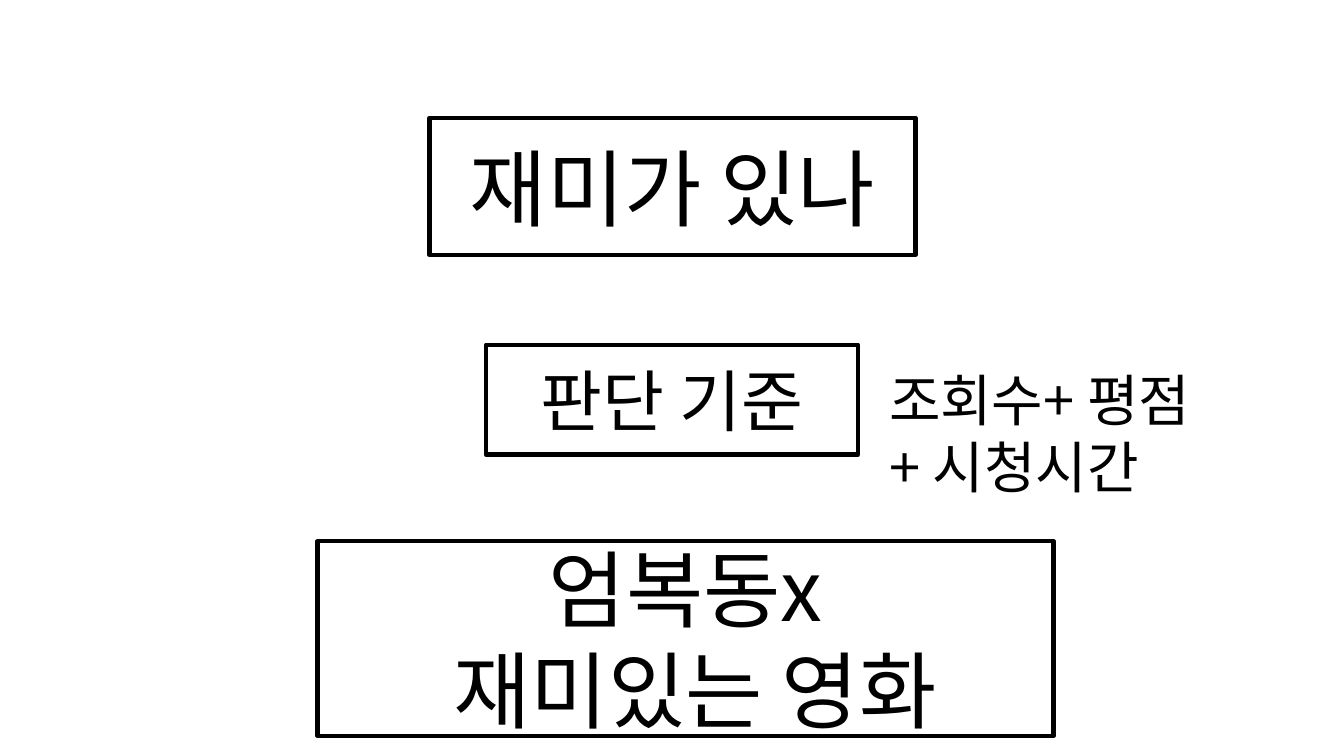
from dataclasses import dataclass

from lxml.etree import SubElement
from pptx import Presentation
from pptx.dml.color import RGBColor
from pptx.enum.shapes import MSO_SHAPE
from pptx.enum.text import MSO_ANCHOR, MSO_AUTO_SIZE, PP_ALIGN
from pptx.oxml.ns import qn
from pptx.shapes.autoshape import Shape
from pptx.slide import Slide
from pptx.util import Inches, Pt


@dataclass(frozen=True)
class Theme:
    font: str = "Noto Sans CJK KR"
    ink: RGBColor = RGBColor(0, 0, 0)
    paper: RGBColor = RGBColor(255, 255, 255)
    border: int = Pt(3)
    large: int = Pt(60)
    medium: int = Pt(48)
    small: int = Pt(40)


@dataclass(frozen=True)
class Box:
    lines: tuple[str, ...]
    left: float
    top: float
    width: float
    height: float
    size: int

    @property
    def bounds(self) -> tuple[int, ...]:
        return tuple(Inches(v) for v in (self.left, self.top, self.width, self.height))


THEME = Theme()
QUESTION = Box(("재미가 있나",), 4.26, 1.17, 4.82, 1.36, THEME.large)
CRITERION = Box(("판단 기준",), 4.82, 3.42, 3.69, 1.09, THEME.medium)
CONCLUSION = Box(("엄복동x", " 재미있는 영화"), 3.15, 5.37, 7.3, 1.93, THEME.large)
MEASURES = Box(("조회수+ 평점", "+ 시청시간"), 8.72, 3.58, 3.53, 1.45, THEME.small)


def write_lines(sp: Shape, box: Box, align: PP_ALIGN) -> None:
    tf = sp.text_frame
    for i, line in enumerate(box.lines):
        p = tf.add_paragraph() if i else tf.paragraphs[0]
        p.alignment = align
        r = p.add_run()
        r.text = line
        for name, value in {"name": THEME.font, "size": box.size}.items():
            setattr(r.font, name, value)
        r.font.color.rgb = THEME.ink
        SubElement(r.font._element, qn("a:ea"), typeface=THEME.font)


def frame(sp: Shape, box: Box) -> None:
    """Give a shape its place, black border and centred text."""
    sp.left, sp.top, sp.width, sp.height = box.bounds
    sp.fill.solid()
    sp.fill.fore_color.rgb = THEME.paper
    sp.line.color.rgb = THEME.ink
    sp.line.width = THEME.border
    text_format = {
        "word_wrap": True,
        "auto_size": MSO_AUTO_SIZE.NONE,
        "vertical_anchor": MSO_ANCHOR.MIDDLE,
    }
    for name, value in text_format.items():
        setattr(sp.text_frame, name, value)
    write_lines(sp, box, PP_ALIGN.CENTER)


def add_framed_box(s: Slide, box: Box) -> None:
    sp = s.shapes.add_shape(MSO_SHAPE.RECTANGLE, *box.bounds)
    sp.shadow.inherit = False
    frame(sp, box)


def add_label(s: Slide, box: Box) -> None:
    sp = s.shapes.add_textbox(*box.bounds)
    sp.text_frame.word_wrap = False
    sp.text_frame.auto_size = MSO_AUTO_SIZE.SHAPE_TO_FIT_TEXT
    write_lines(sp, box, PP_ALIGN.LEFT)


def main() -> None:
    prs = Presentation()
    prs.slide_width, prs.slide_height = Inches(13.33), Inches(7.5)
    s = prs.slides.add_slide(prs.slide_layouts[5])
    frame(s.shapes.title, QUESTION)
    add_framed_box(s, CRITERION)
    add_label(s, MEASURES)
    add_framed_box(s, CONCLUSION)
    prs.save("out.pptx")


if __name__ == "__main__":
    main()
